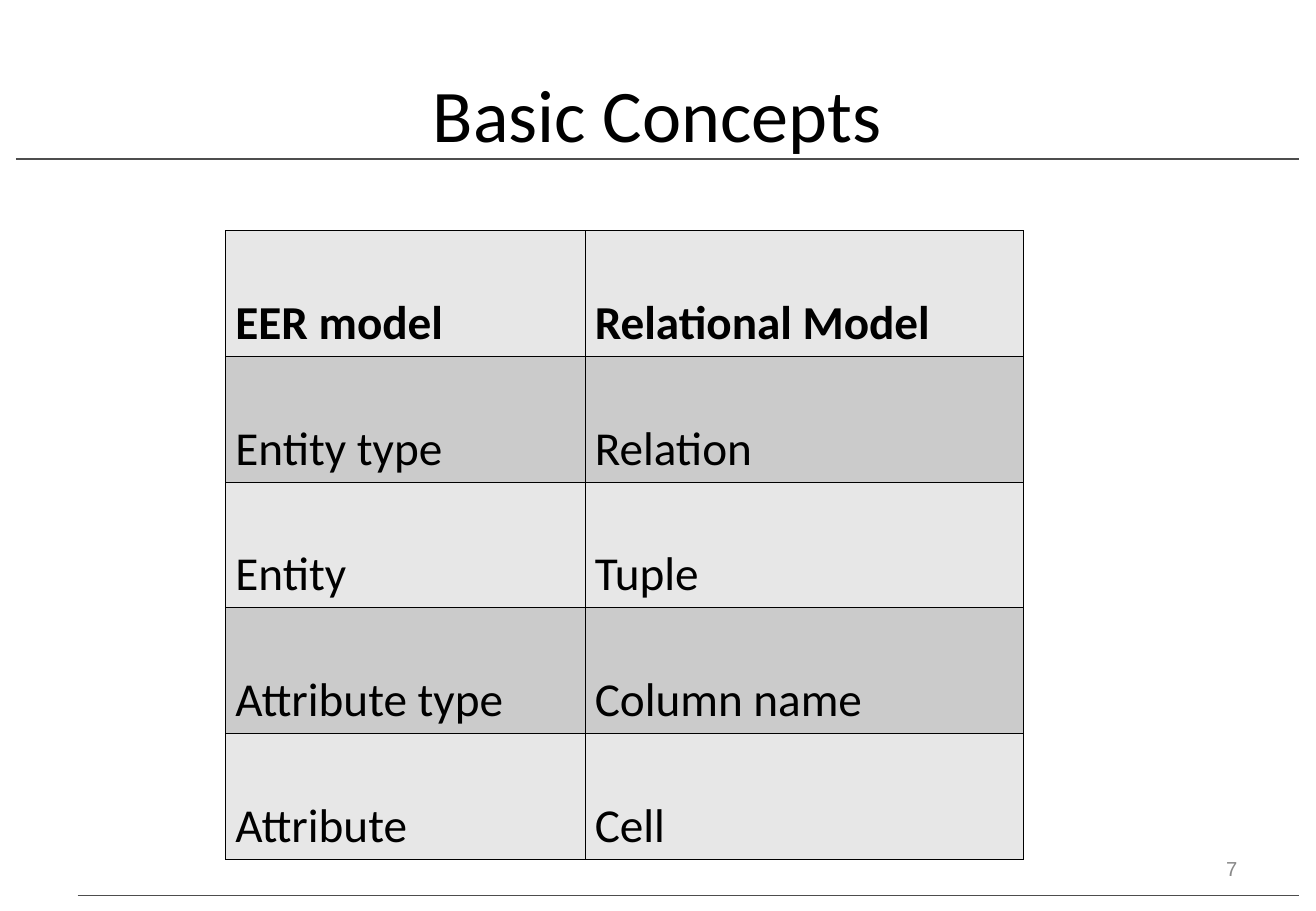
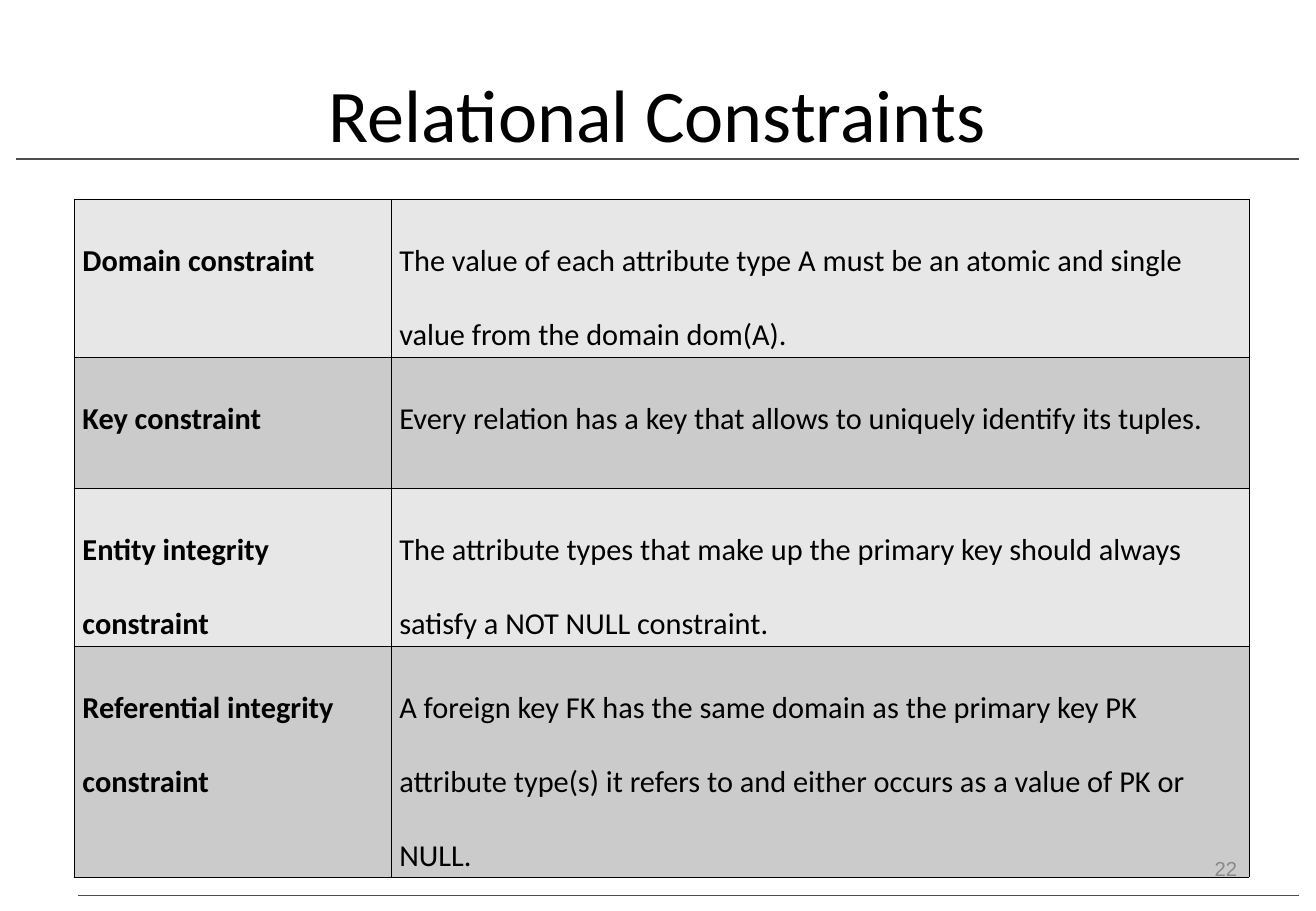
import pptx
import pptx.dml.color
import pptx.enum.shapes
import pptx.enum.text
import pptx.oxml
import pptx.oxml.ns
import pptx.util
from lxml import etree

Inches = pptx.util.Inches
Pt = pptx.util.Pt
RGBColor = pptx.dml.color.RGBColor
ALIGN = pptx.enum.text.PP_ALIGN
qn = pptx.oxml.ns.qn

BLACK = RGBColor(0x00, 0x00, 0x00)
RULE_GRAY = RGBColor(0x4D, 0x4D, 0x4D)
NUMBER_GRAY = RGBColor(0x89, 0x89, 0x89)
ROW_FILLS = (RGBColor(0xE7, 0xE7, 0xE7), RGBColor(0xCB, 0xCB, 0xCB))

BODY_FONT = "Calibri"
NUMBER_FONT = "Arial"
BORDER_WIDTH = Pt(0.45)
RULE_RIGHT = 10.7
TITLE_BOX = (0.54, 0.3, 9.75, 1.25)
NUMBER_BOX = (7.76, 6.95, 2.53, 0.4)

CONCEPTS = [
    ("EER model", "Relational Model"),
    ("Entity type", "Relation"),
    ("Entity", "Tuple"),
    ("Attribute type", "Column name"),
    ("Attribute", "Cell"),
]
CONSTRAINTS = [
    ("Domain constraint",
     "The value of each attribute type A must be an atomic and single value "
     "from the domain dom(A)."),
    ("Key constraint",
     "Every relation has a key that allows to uniquely identify its tuples."),
    ("Entity integrity constraint",
     "The attribute types that make up the primary key should always satisfy "
     "a NOT NULL constraint."),
    ("Referential integrity constraint",
     "A foreign key FK has the same domain as the primary key PK attribute "
     "type(s) it refers to and either occurs as a value of PK or NULL."),
]


def style_text(paragraph, font, size, color, bold=False):
    for span in paragraph.runs:
        span.font.name = font
        span.font.size = Pt(size)
        span.font.color.rgb = color
        span.font.bold = bold


def add_rule(page, left, top, width):
    rule = page.shapes.add_connector(
        pptx.enum.shapes.MSO_CONNECTOR.STRAIGHT,
        Inches(left), Inches(top), Inches(RULE_RIGHT), Inches(top))
    rule.line.color.rgb = RULE_GRAY
    rule.line.width = Pt(width)
    etree.SubElement(rule._element.spPr, qn("a:effectLst"))


def add_label(page, area, text, align, font, size, color):
    box = page.shapes.add_textbox(*map(Inches, area))
    frame = box.text_frame
    frame.word_wrap = True
    frame.vertical_anchor = pptx.enum.text.MSO_ANCHOR.MIDDLE
    frame.text = text
    paragraph = frame.paragraphs[0]
    paragraph.alignment = align
    style_text(paragraph, font, size, color)


def add_borders(cell):
    properties = cell._tc.get_or_add_tcPr()
    for side in ("a:lnL", "a:lnR", "a:lnT", "a:lnB"):
        border = etree.SubElement(properties, qn(side), w=str(int(BORDER_WIDTH)))
        fill = etree.SubElement(border, qn("a:solidFill"))
        etree.SubElement(fill, qn("a:srgbClr"), val=str(BLACK))


def add_grid(page, left, top, columns, heights, rows, size, margin, is_bold):
    frame = page.shapes.add_table(
        len(rows), len(columns), Inches(left), Inches(top),
        Inches(sum(columns)), Inches(sum(heights)))
    table = frame.table
    table.first_row = False
    table.horz_banding = False
    for column, width in zip(table.columns, columns):
        column.width = Inches(width)
    for row_index, (row, height) in enumerate(zip(table.rows, heights)):
        row.height = Inches(height)
        for column_index, cell in enumerate(row.cells):
            add_borders(cell)
            cell.fill.solid()
            cell.fill.fore_color.rgb = ROW_FILLS[row_index % 2]
            cell.margin_left = cell.margin_right = Inches(margin)
            cell.margin_top = cell.margin_bottom = Inches(0.05)
            cell.text_frame.text = rows[row_index][column_index]
            paragraph = cell.text_frame.paragraphs[0]
            paragraph.line_spacing = 2.0
            style_text(paragraph, BODY_FONT, size, BLACK,
                       is_bold(row_index, column_index))


def add_table_page(deck, title, number, **grid):
    page = deck.slides.add_slide(deck.slide_layouts[6])
    add_rule(page, 0.13, 1.31, 1)
    add_rule(page, 0.64, 7.37, 0.75)
    add_label(page, TITLE_BOX, title, ALIGN.CENTER, BODY_FONT, 44, BLACK)
    add_grid(page, **grid)
    add_label(page, NUMBER_BOX, number, ALIGN.RIGHT, NUMBER_FONT, 12, NUMBER_GRAY)


def main():
    deck = pptx.Presentation()
    deck.slide_width = Inches(10.84)
    deck.slide_height = Inches(7.5)
    add_table_page(
        deck, "Basic Concepts", "7",
        left=1.86, top=1.9, columns=(2.96, 3.61),
        heights=[0.95] * len(CONCEPTS), rows=CONCEPTS, size=28, margin=0.08,
        is_bold=lambda row, column: row == 0)
    add_table_page(
        deck, "Relational Constraints", "22",
        left=0.61, top=1.64, columns=(2.61, 7.07),
        heights=(1.22, 1.08, 1.22, 1.83), rows=CONSTRAINTS, size=18, margin=0.07,
        is_bold=lambda row, column: column == 0)
    deck.save("out.pptx")


if __name__ == "__main__":
    main()
